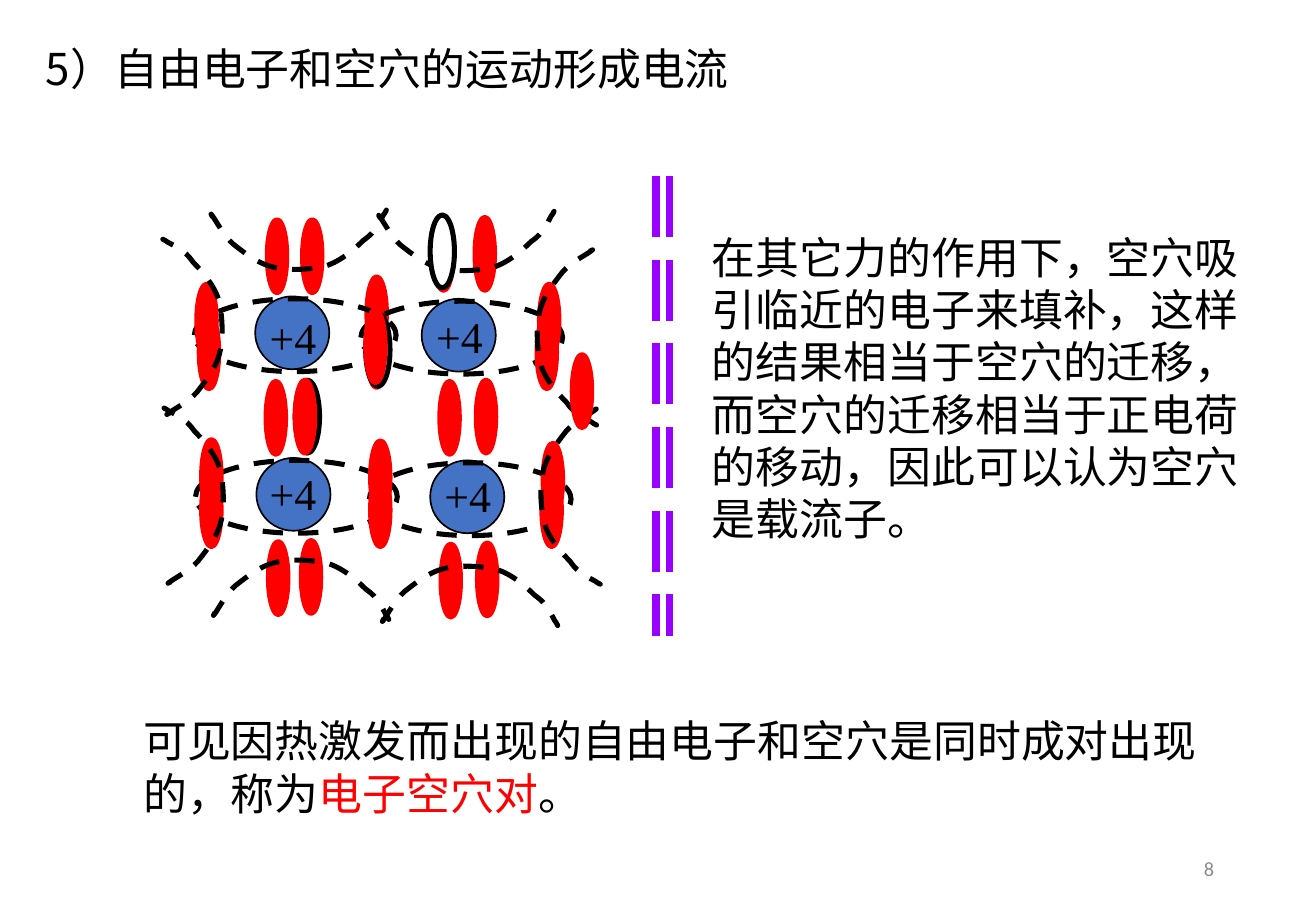
from lxml import etree
from pptx import Presentation
from pptx.dml.color import RGBColor
from pptx.enum.dml import MSO_LINE
from pptx.enum.shapes import MSO_CONNECTOR, MSO_SHAPE
from pptx.enum.text import MSO_ANCHOR, PP_ALIGN
from pptx.oxml.ns import qn
from pptx.util import Inches, Pt

OVAL = MSO_SHAPE.OVAL
STRAIGHT = MSO_CONNECTOR.STRAIGHT
DASH = MSO_LINE.DASH
LONG_DASH = MSO_LINE.LONG_DASH
TOP = MSO_ANCHOR.TOP
MIDDLE = MSO_ANCHOR.MIDDLE
LEFT = PP_ALIGN.LEFT
RIGHT = PP_ALIGN.RIGHT

CHINESE = "Noto Sans CJK SC"
BLACK, WHITE, RED = "000000", "FFFFFF", "FF0000"
BLUE, PURPLE, GREY = "4472C4", "9900FF", "8C8C8C"

NUCLEI = [(2.10, 2.44), (3.47, 2.46), (2.11, 3.77), (3.54, 3.79)]
LABELS = [(2.12, 2.51), (3.49, 2.50), (2.12, 3.79), (3.56, 3.81)]
BOND_ELECTRONS = [
    (3.02, 2.59), (3.92, 3.13), (3.62, 3.14), (3.05, 3.63), (3.05, 3.90),
    (2.19, 3.14), (1.66, 3.62), (1.66, 3.90), (2.20, 1.81), (2.49, 1.81),
    (1.62, 2.34), (1.64, 2.60), (3.93, 4.47), (3.63, 4.48), (4.42, 2.60),
    (4.44, 2.34), (2.48, 4.45), (2.21, 4.46), (3.91, 1.79), (3.57, 1.79),
    (4.46, 3.90), (4.47, 3.65),
]
FREE_ELECTRONS = [(2.45, 3.13), (4.71, 2.92)]
HOLE_STEPS = [
    ((2.43, 3.13), (2.43, 3.13)),
    ((3.01, 2.58), (3.01, 2.55)),
    ((3.54, 1.77), None),
]

ARC_POINTS = [
    (0.18, -0.70),
    (0.19, -0.70), (0.23, -0.73), (0.19, -0.70),
    (0.15, -0.67), (0.03, -0.61), (-0.04, -0.53),
    (-0.11, -0.44), (-0.20, -0.33), (-0.23, -0.20),
    (-0.26, -0.07), (-0.25, 0.11), (-0.22, 0.23),
    (-0.18, 0.36), (-0.07, 0.48), (-0.01, 0.54),
    (0.04, 0.61), (0.06, 0.62), (0.10, 0.65),
    (0.14, 0.68), (0.20, 0.70), (0.22, 0.72),
    (0.24, 0.73), (0.24, 0.73), (0.24, 0.73),
    (0.24, 0.73), (0.22, 0.72), (0.22, 0.72),
]
SIDES = {
    "right": lambda x, y: (x, y),
    "left": lambda x, y: (-x, -y),
    "top": lambda x, y: (y, -x),
    "bottom": lambda x, y: (y, x),
}
OUTER_ARCS = [
    ("right", 4.67, 2.77), ("right", 4.70, 4.08),
    ("top", 2.45, 1.97), ("top", 3.83, 1.98),
    ("bottom", 2.47, 4.86), ("bottom", 3.86, 4.91),
    ("left", 1.58, 2.70), ("left", 1.59, 4.09),
]


def color(value):
    return RGBColor.from_string(value)


def style(shape, fill, line, width, dash=None):
    shape.shadow.inherit = False
    if fill:
        shape.fill.solid()
        shape.fill.fore_color.rgb = color(fill)
    else:
        shape.fill.background()
    shape.line.color.rgb = color(line)
    shape.line.width = Pt(width)
    if dash:
        shape.line.dash_style = dash


def add_oval(slide, position, size, fill, line, width=3, dash=None):
    oval = slide.shapes.add_shape(OVAL, *map(Inches, position + size))
    style(oval, fill, line, width, dash)


def add_electron(slide, position):
    add_oval(slide, position, (0.16, 0.6), RED, RED)


def add_hole(slide, position):
    add_oval(slide, position, (0.2, 0.6), WHITE, BLACK)


def add_atom(slide, position):
    left, top = position
    add_oval(slide, position, (0.61, 0.6), BLUE, BLACK, 1)
    add_oval(slide, (left - 0.5, top + 0.02), (1.66, 0.6), None, BLACK, dash=DASH)


def round_corners(arc):
    corners = list(arc.element.iter(qn("a:lnTo")))
    outline = corners[0].getparent()
    for first in range(0, len(corners), 3):
        curve = etree.SubElement(outline, qn("a:cubicBezTo"))
        for corner in corners[first:first + 3]:
            curve.append(corner[0])
            outline.remove(corner)


def add_outer_arc(slide, side, center_x, center_y):
    turned = [SIDES[side](x, y) for x, y in ARC_POINTS]
    outline = [(Inches(center_x + x), Inches(center_y + y)) for x, y in turned]
    builder = slide.shapes.build_freeform(*outline[0])
    builder.add_line_segments(outline[1:], close=False)
    arc = builder.convert_to_shape()
    round_corners(arc)
    style(arc, None, BLACK, 3, DASH)


def add_divider(slide, x):
    ends = map(Inches, (x, 1.45, x, 5.24))
    divider = slide.shapes.add_connector(STRAIGHT, *ends)
    divider.line.color.rgb = color(PURPLE)
    divider.line.width = Pt(4.5)
    divider.line.dash_style = LONG_DASH
    etree.SubElement(divider.element.spPr, qn("a:effectLst"))


def add_text(slide, runs, box, size=26, font=CHINESE, anchor=TOP, align=LEFT,
             spacing=None):
    frame = slide.shapes.add_textbox(*map(Inches, box)).text_frame
    frame.word_wrap = True
    frame.vertical_anchor = anchor
    frame.margin_left = frame.margin_right = Inches(0.1)
    frame.margin_top = frame.margin_bottom = Inches(0.05)
    paragraph = frame.paragraphs[0]
    paragraph.alignment = align
    if spacing:
        paragraph.line_spacing = Pt(spacing)
    for text, text_color in runs:
        run = paragraph.add_run()
        run.text = text
        run.font.size = Pt(size)
        run.font.name = font
        run.font.color.rgb = color(text_color)
        east_asian = etree.SubElement(run.font._element, qn("a:ea"))
        east_asian.set("typeface", font)


def add_lattice(slide):
    add_electron(slide, (3.02, 2.28))
    for position in NUCLEI:
        add_atom(slide, position)
    for position in BOND_ELECTRONS:
        add_electron(slide, position)
    for side, center_x, center_y in OUTER_ARCS:
        add_outer_arc(slide, side, center_x, center_y)
    for position in FREE_ELECTRONS:
        add_electron(slide, position)
    for hole, filling_electron in HOLE_STEPS:
        add_hole(slide, hole)
        if filling_electron:
            add_electron(slide, filling_electron)


def main():
    deck = Presentation()
    deck.slide_width = Inches(10.83)
    deck.slide_height = Inches(7.5)
    slide = deck.slides.add_slide(deck.slide_layouts[6])

    explanation = "在其它力的作用下，空穴吸引临近的电子来填补，这样的结果相当于空穴的迁移，而空穴的迁移相当于正电荷的移动，因此可以认为空穴是载流子。"
    add_text(slide, [(explanation, BLACK)], (5.76, 1.82, 4.73, 2.74),
             anchor=MIDDLE, spacing=31)
    add_lattice(slide)
    add_text(slide, [("5）自由电子和空穴的运动形成电流", BLACK)],
             (0.28, 0.3, 7.22, 0.54), spacing=31)
    for x in (5.4, 5.51):
        add_divider(slide, x)
    conclusion = [
        ("可见因热激发而出现的自由电子和空穴是同时成对出现的，称为", BLACK),
        ("电子空穴对", RED),
        ("。", BLACK),
    ]
    add_text(slide, conclusion, (1.08, 5.83, 8.94, 0.98), spacing=31)
    for position in LABELS:
        add_text(slide, [("+4", BLACK)], position + (0.7, 0.54), font="Times New Roman")
    add_text(slide, [("8", GREY)], (7.65, 6.95, 2.44, 0.4), size=12,
             font="Calibri", anchor=MIDDLE, align=RIGHT)
    deck.save("out.pptx")


if __name__ == "__main__":
    main()
